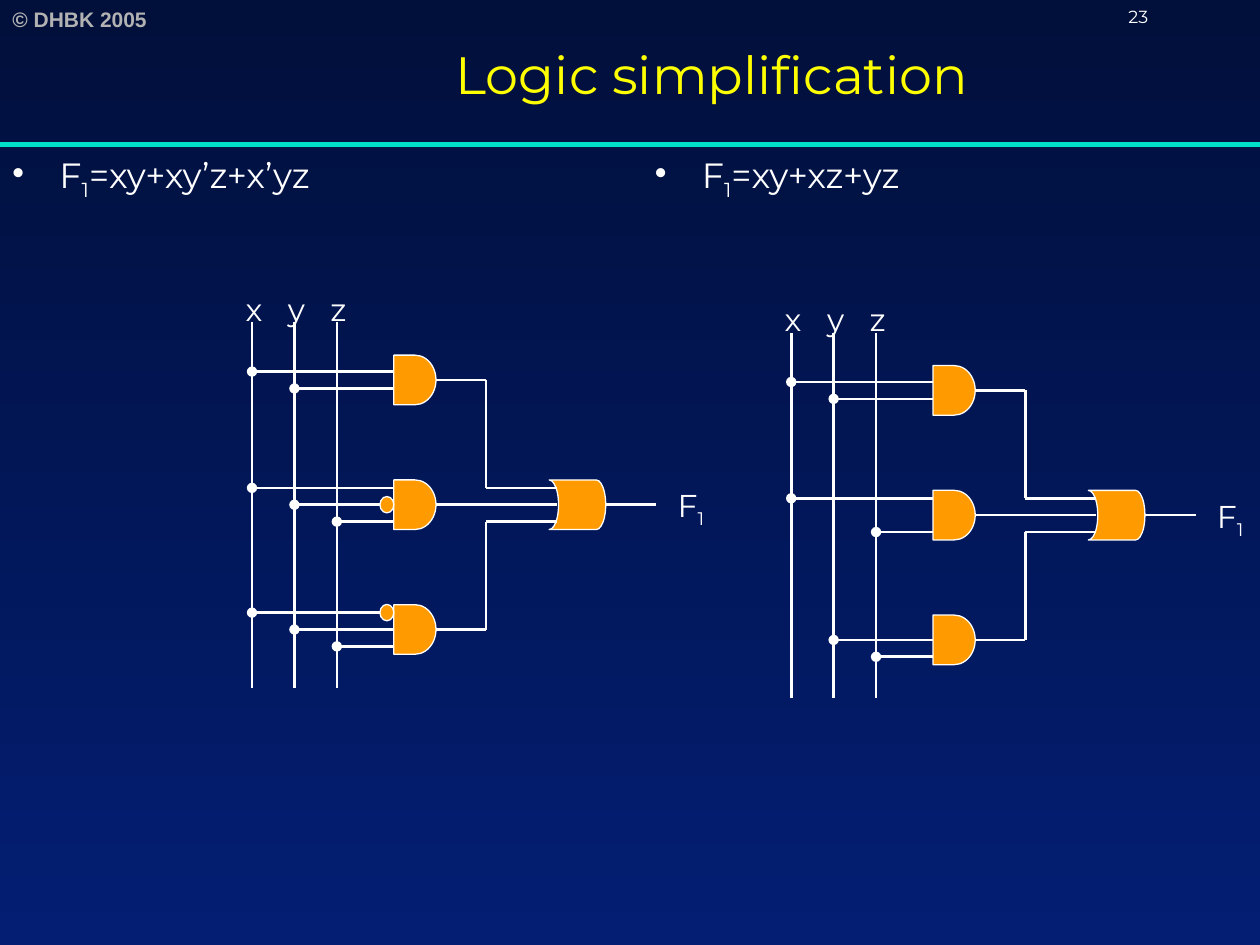
from dataclasses import dataclass

from lxml import etree
from pptx import Presentation
from pptx.dml.color import RGBColor
from pptx.enum.shapes import MSO_CONNECTOR, MSO_SHAPE
from pptx.enum.text import MSO_ANCHOR, MSO_AUTO_SIZE, PP_ALIGN
from pptx.oxml.ns import qn
from pptx.util import Cm, Pt

STRAIGHT = MSO_CONNECTOR.STRAIGHT
AND_GATE = MSO_SHAPE.FLOWCHART_DELAY
OR_GATE = MSO_SHAPE.FLOWCHART_STORED_DATA
BUBBLE = MSO_SHAPE.FLOWCHART_CONNECTOR
LEFT, CENTER = PP_ALIGN.LEFT, PP_ALIGN.CENTER
TOP, MIDDLE = MSO_ANCHOR.TOP, MSO_ANCHOR.MIDDLE
LEFT_SIDE, RIGHT_SIDE = 1, 3
TITLE_ONLY = 5

WHITE, ORANGE, YELLOW = "FFFFFF", "FF9B00", "FFFF00"
TURQUOISE, GREY = "00DFCA", "B2B2B2"
NAVY, BLUE = "010F3B", "031E73"
FONT = "Montserrat"

# Circuit measures in centimetres, from the top of the x wire
WIRE_GAP, WIRE_LENGTH = 0.855, 7.37
GATE_LEFT, GATE_WIDTH, GATE_HEIGHT = 2.86, 0.85, 1.0
FIRST_GATE_MIDDLE, GATE_PITCH = 1.16, 2.515
PIN_GAP = 0.34
BUBBLE_WIDTH, BUBBLE_HEIGHT = 0.28, 0.33
JOIN_X = 4.72
OR_LEFT, OR_WIDTH, OR_PIN_X = 5.99, 1.14, 6.15
OUTPUT_END = 8.15


@dataclass(frozen=True)
class Pin:
    """A gate input; level counts pin gaps below the gate's middle."""
    variable: str
    level: float
    inverted: bool = False


@dataclass(frozen=True)
class Circuit:
    left: float
    top: float
    gates: tuple[tuple[Pin, ...], ...]


@dataclass(frozen=True)
class TextStyle:
    size: float
    color: str = WHITE
    font: str = FONT
    bold: bool = False


TOP_GATE = (Pin("x", -0.5), Pin("y", 0.5))
CIRCUITS = (
    Circuit(5.08, 6.5, (
        TOP_GATE,
        (Pin("x", -1), Pin("y", 0, True), Pin("z", 1)),
        (Pin("x", -1, True), Pin("y", 0), Pin("z", 1)),
    )),
    Circuit(15.95, 6.71, (
        TOP_GATE,
        (Pin("x", -1), Pin("z", 1)),
        (Pin("y", 0), Pin("z", 1)),
    )),
)


def rgb(color: str) -> RGBColor:
    return RGBColor.from_string(color)


def add_runs(paragraph, text: str, style: TextStyle) -> None:
    """Add runs; the parts between underscores are subscripts."""
    for index, part in enumerate(text.split("_")):
        run = paragraph.add_run()
        run.text = part
        run.font.size = Pt(style.size)
        run.font.name = style.font
        run.font.bold = style.bold
        run.font.color.rgb = rgb(style.color)
        if index % 2:
            run.font._element.set("baseline", "-25000")


def add_text(shapes, left: float, top: float, width: float, height: float,
             text: str, style: TextStyle, align=LEFT, anchor=TOP,
             wrap: bool = True, bullet: bool = False):
    box = shapes.add_textbox(Cm(left), Cm(top), Cm(width), Cm(height))
    frame = box.text_frame
    frame.word_wrap = wrap
    frame.vertical_anchor = anchor
    paragraph = frame.paragraphs[0]
    paragraph.alignment = align
    if bullet:
        properties = paragraph._p.get_or_add_pPr()
        properties.set("marL", str(Cm(0.95)))
        properties.set("indent", str(-Cm(0.95)))
        etree.SubElement(properties, qn("a:buChar")).set("char", "•")
    add_runs(paragraph, text, style)


def add_line(shapes, x1: float, y1: float, x2: float, y2: float,
             color: str = WHITE, width: float = 1.5, dot: bool = False):
    line = shapes.add_connector(STRAIGHT, Cm(x1), Cm(y1), Cm(x2), Cm(y2))
    line.line.color.rgb = rgb(color)
    line.line.width = Pt(width)
    if dot:
        outline = line.line._get_or_add_ln()
        etree.SubElement(outline, qn("a:headEnd")).set("type", "oval")
    etree.SubElement(line._element.spPr, qn("a:effectLst"))
    return line


def add_part(shapes, kind, left: float, middle: float, width: float, height: float):
    """Add an orange circuit part centred vertically on middle."""
    part = shapes.add_shape(kind, Cm(left), Cm(middle - height / 2), Cm(width), Cm(height))
    part.shadow.inherit = False
    part.fill.solid()
    part.fill.fore_color.rgb = rgb(ORANGE)
    part.line.color.rgb = rgb(WHITE)
    part.line.width = Pt(0)
    return part


def draw_pin(shapes, circuit: Circuit, pin: Pin, gate, middle: float) -> None:
    y = middle + pin.level * PIN_GAP
    start = circuit.left + "xyz".index(pin.variable) * WIRE_GAP
    end = circuit.left + GATE_LEFT
    if pin.inverted:
        end -= BUBBLE_WIDTH
        add_part(shapes, BUBBLE, end, y, BUBBLE_WIDTH, BUBBLE_HEIGHT)
    line = add_line(shapes, start, y, end, y, dot=True)
    if pin.level == 0 and not pin.inverted:
        line.end_connect(gate, LEFT_SIDE)


def draw_circuit(slide, circuit: Circuit) -> None:
    shapes = slide.shapes.add_group_shape().shapes
    left, top = circuit.left, circuit.top
    label = TextStyle(18)
    for index, variable in enumerate("xyz"):
        x = left + index * WIRE_GAP
        add_line(shapes, x, top, x, top + WIRE_LENGTH)
        add_text(shapes, x - 0.38, top - 0.79, 0.82, 1.02, variable, label,
                 CENTER, MIDDLE, wrap=False)

    or_middle = top + FIRST_GATE_MIDDLE + GATE_PITCH
    or_gate = add_part(shapes, OR_GATE, left + OR_LEFT, or_middle, OR_WIDTH, GATE_HEIGHT)
    or_gate.rotation = 180
    join_x, or_pin_x = left + JOIN_X, left + OR_PIN_X
    for index, pins in enumerate(circuit.gates):
        middle = top + FIRST_GATE_MIDDLE + index * GATE_PITCH
        gate = add_part(shapes, AND_GATE, left + GATE_LEFT, middle, GATE_WIDTH, GATE_HEIGHT)
        for pin in pins:
            draw_pin(shapes, circuit, pin, gate, middle)
        or_pin_y = or_middle + (index - 1) * PIN_GAP
        straight = index == 1
        output = add_line(shapes, left + GATE_LEFT + GATE_WIDTH, middle,
                          or_pin_x if straight else join_x, middle)
        output.begin_connect(gate, RIGHT_SIDE)
        if not straight:
            add_line(shapes, join_x, middle, join_x, or_pin_y)
            add_line(shapes, join_x, or_pin_y, or_pin_x, or_pin_y)

    add_line(shapes, left + OR_LEFT + OR_WIDTH, or_middle, left + OUTPUT_END, or_middle)
    add_text(shapes, left + 8.33, top + 3.18, 1.04, 1.12, "F_1_", label,
             CENTER, MIDDLE, wrap=False)


def set_background(slide) -> None:
    fill = slide.background.fill
    fill.gradient()
    fill.gradient_angle = 270
    for stop, color in zip(fill.gradient_stops, (NAVY, BLUE)):
        stop.color.rgb = rgb(color)


def set_title(slide, text: str) -> None:
    title = slide.shapes.title
    title.left, title.top, title.width, title.height = Cm(3.3), Cm(0), Cm(22.1), Cm(2.97)
    frame = title.text_frame
    frame.auto_size = MSO_AUTO_SIZE.NONE
    frame.vertical_anchor = MIDDLE
    frame.paragraphs[0].alignment = CENTER
    add_runs(frame.paragraphs[0], text, TextStyle(30, YELLOW))


def main() -> None:
    presentation = Presentation()
    presentation.slide_width, presentation.slide_height = Cm(25.4), Cm(19.05)
    slide = presentation.slides.add_slide(presentation.slide_layouts[TITLE_ONLY])
    set_background(slide)
    set_title(slide, "Logic simplification")
    add_text(slide.shapes, 0, 0, 3.68, 0.76, "© DHBK 2005",
             TextStyle(12, GREY, "Arial", True))
    add_text(slide.shapes, 22.5, 0, 2.9, 0.64, "23", TextStyle(10))
    add_line(slide.shapes, 0, 2.92, 25.4, 2.92, TURQUOISE, 3)
    for left, formula in ((0, "F_1_=xy+xy’z+x’yz"), (12.95, "F_1_=xy+xz+yz")):
        add_text(slide.shapes, left, 2.97, 12.45, 1.6, formula, TextStyle(20), bullet=True)
    for circuit in CIRCUITS:
        draw_circuit(slide, circuit)
    presentation.save("out.pptx")


if __name__ == "__main__":
    main()
